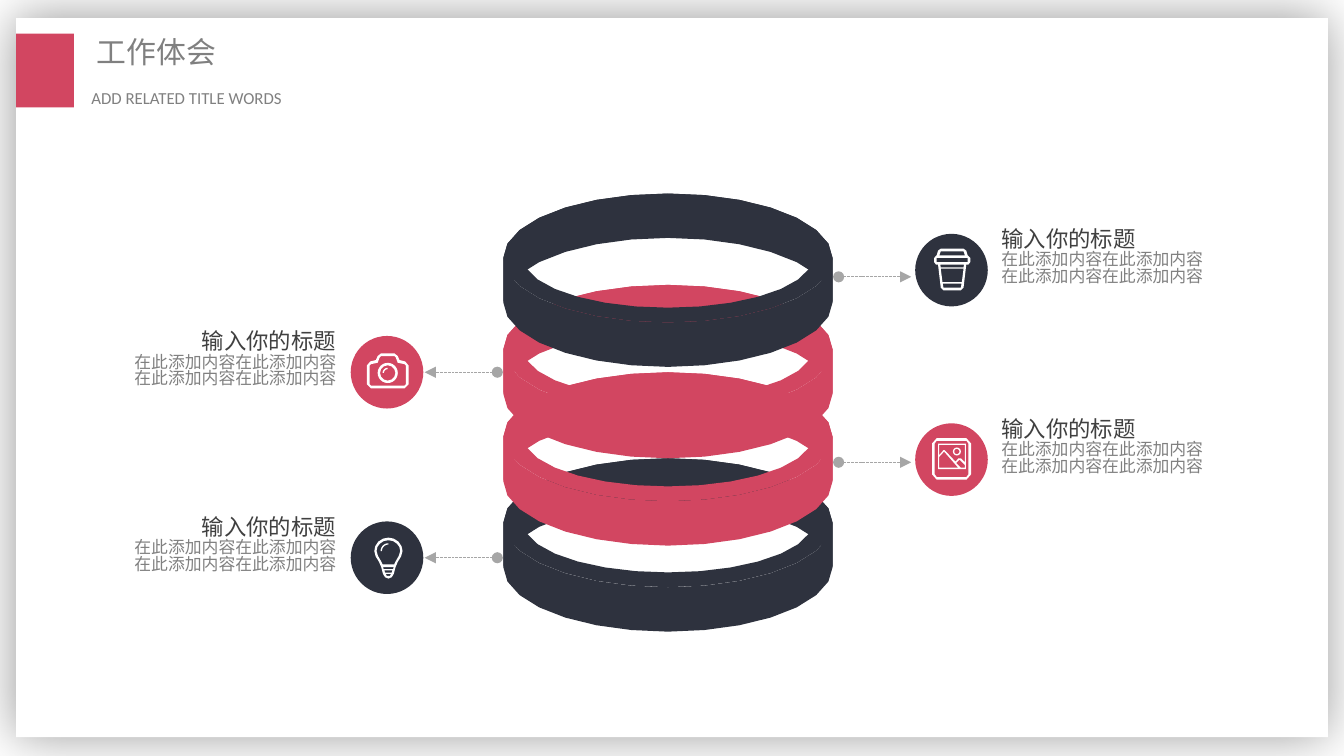
import math
import pptx
import pptx.util
import pptx.dml.color
import pptx.enum.dml
import pptx.enum.shapes
import pptx.enum.text
import pptx.oxml
import pptx.oxml.ns

COLORS = {"red": "D24661", "navy": "2E323E", "white": "FFFFFF", "grey": "808080",
          "dark": "404040", "rule": "A6A6A6", "black": "000000"}
RGB = {name: pptx.dml.color.RGBColor.from_string(value) for name, value in COLORS.items()}
CJK = "Noto Sans CJK SC"
NS = pptx.oxml.ns.nsdecls("a")
SHAPE = pptx.enum.shapes.MSO_SHAPE
ALIGN = pptx.enum.text.PP_ALIGN

prs = pptx.Presentation()
prs.slide_width = pptx.util.Inches(10)
prs.slide_height = prs.slide_width * 9 // 16
s = prs.slides.add_slide(prs.slide_layouts[6])
cell = prs.slide_width // 1000
half = 14
circle = [(math.cos(math.pi * i / half), math.sin(math.pi * i / half)) for i in range(2 * half + 1)]


def text(lines, at, align=ALIGN.LEFT, inset=(0, 5, 0, 0), font=CJK, spacing=0.84):
    sp = s.shapes.add_textbox(*[v * cell for v in at])
    tf = sp.text_frame
    tf.word_wrap = True
    tf.auto_size = pptx.enum.text.MSO_AUTO_SIZE.SHAPE_TO_FIT_TEXT
    tf.margin_left, tf.margin_top, tf.margin_right, tf.margin_bottom = [v * cell for v in inset]
    for i, (line, size, color) in enumerate(lines):
        p = tf.add_paragraph() if i else tf.paragraphs[0]
        p.alignment = align
        p.line_spacing = spacing
        r = p.add_run()
        r.text = line
        r.font.size = pptx.util.Pt(size)
        r.font.name = font
        r.font.color.rgb = RGB[color]
        r.font._element.append(pptx.oxml.parse_xml(f'<a:ea {NS} typeface="{font}"/>'))


def outline(contours, color):
    fb = None
    for contour in contours:
        points = [(x * cell, y * cell) for x, y in contour]
        if fb is None:
            fb = s.shapes.build_freeform(*points[0])
        else:
            fb.move_to(*points[0])
        fb.add_line_segments(points[1:], close=True)
    sp = fb.convert_to_shape()
    sp.shadow.inherit = False
    sp.fill.solid()
    sp.fill.fore_color.rgb = RGB[color]
    sp.line.fill.background()


notes = [(261, 250, "red", 277), (261, 388, "navy", 415),
         (681, 174, "navy", 206), (681, 315, "red", 344)]
blocks = [(SHAPE.RECTANGLE, 12, 13.5, 976, 535, "white", None),
          (SHAPE.RECTANGLE, 12, 25, 43, 55, "red", None)]
blocks += [(SHAPE.OVAL, x, y, 54, 54, color, None) for x, y, color, rule_y in notes]
blocks += [(SHAPE.DONUT, 709, 333, 6, 6, "white", 0.17),
           (SHAPE.DONUT, 281, 270, 15, 15, "white", 0.12)]
for kind, x, y, w, h, color, ring_share in blocks:
    sp = s.shapes.add_shape(kind, *[int(v * cell) for v in (x, y, w, h)])
    sp.shadow.inherit = False
    sp.fill.solid()
    sp.fill.fore_color.rgb = RGB[color]
    sp.line.fill.background()
    if ring_share:
        sp.adjustments[0] = ring_share

page = s.shapes[0]
page._element.spPr.find(pptx.oxml.ns.qn("a:effectLst")).append(pptx.oxml.parse_xml(
    f'<a:outerShdw {NS} blurRad="{pptx.util.Pt(29)}" dist="0" dir="0" algn="ctr" rotWithShape="0">'
    f'<a:srgbClr val="{COLORS["black"]}"><a:alpha val="40000"/></a:srgbClr></a:outerShdw>'))

text([("工作体会", 16, "grey")], (64, 25, 201, 35), inset=(8, 4, 8, 4))
text([("ADD RELATED TITLE WORDS", 9, "grey")], (60, 61, 223, 23),
     align=ALIGN.JUSTIFY, inset=(8, 4, 8, 4), font="Calibri", spacing=1.0)

ring_x, ring_rx, ring_ry, wall = 497, 122.5, 48, 33
for top, color in [(341, "navy"), (277, "red"), (212, "red"), (144, "navy")]:
    mid = top + ring_ry
    rim = [(ring_x + ring_rx * x, mid + ring_ry * y) for x, y in circle]
    hole = [(ring_x + 107.5 * x, mid + 37 * y) for x, y in circle]
    front, back = rim[:half + 1], rim[half:]
    outline([back + [(x, y + wall) for x, y in reversed(back)]], color)
    outline([hole, rim], color)
    outline([front + [(x, y + wall) for x, y in reversed(front)]], color)

body = "在此添加内容在此添加内容"
for x, y, color, rule_y in notes:
    left = x < 500
    start, end = (370, 316) if left else (624, 678)
    c = s.shapes.add_connector(pptx.enum.shapes.MSO_CONNECTOR.STRAIGHT,
                               start * cell, rule_y * cell, end * cell, rule_y * cell)
    c.line.color.rgb = RGB["rule"]
    c.line.width = pptx.util.Pt(0.5)
    c.line.dash_style = pptx.enum.dml.MSO_LINE.SQUARE_DOT
    ln = c.line._get_or_add_ln()
    ln.append(pptx.oxml.parse_xml(f'<a:headEnd {NS} type="oval"/>'))
    ln.append(pptx.oxml.parse_xml(f'<a:tailEnd {NS} type="triangle"/>'))
    c._element.spPr.append(pptx.oxml.parse_xml(f'<a:effectLst {NS}/>'))
    text([("输入你的标题", 12, "dark"), (body, 9, "grey"), (body, 9, "grey")],
         (98 if left else 745, y - 8, 152, 56), align=ALIGN.RIGHT if left else ALIGN.LEFT)

half_icons = {
    "frame": (708, [
        [(11, 326), (14.5, 330), (14.5, 353), (11, 357)],
        [(11, 328), (12.5, 330), (12.5, 353), (11, 355)]]),
    "cup": (708.5, [
        [(8.5, 185), (10.5, 186.5), (11.5, 190), (13.5, 192), (13.5, 195), (12, 197),
         (10.5, 197), (8.5, 214), (6.5, 216)],
        [(8.5, 187), (9.5, 190)],
        [(11.5, 192), (11.5, 195)],
        [(8.8, 197), (8.5, 199)],
        [(8.5, 200), (7.2, 210)],
        [(7, 211), (6.5, 214)]]),
    "bulb": (289, [
        [(0, 400), (4, 400.8), (7.5, 403), (9.8, 406.5), (10.5, 410), (9.5, 414), (7, 418),
         (5.3, 422), (4, 427), (2.5, 429.5), (0, 430.5)],
        [(0, 402), (3.5, 402.6), (6.3, 404.5), (8.2, 407), (8.8, 410), (7.8, 413.5),
         (5.5, 417.5), (4.3, 420)],
        [(4, 422), (3.5, 423.5)],
        [(3, 424.5), (2.5, 426)],
        [(2, 427), (1.2, 428.5)]]),
    "camera": (288.5, [
        [(5, 263), (7.5, 265), (8.8, 268), (13, 269), (15.5, 272), (15.5, 286), (12.5, 289)],
        [(5, 265), (6, 266), (7.5, 270), (12.5, 271), (13.5, 272), (13.5, 286), (12.5, 287)]])}
for mid, sides in half_icons.values():
    outline([[(mid + x, y) for x, y in side] + [(mid - x, y) for x, y in reversed(side)]
             for side in sides], "white")

scene = [[(698, 330), (718.8, 330), (718.8, 349), (698, 349)],
         [(698.8, 331), (718, 331), (718, 344), (715, 341), (713.2, 341), (711, 343.5),
          (703, 335), (702, 335), (698.8, 338.8)],
         [(698.8, 340), (702.5, 336), (713, 348), (698.8, 348)],
         [(715, 348), (711.5, 344.5), (714, 342), (718, 346), (718, 348)]]
outline(scene, "white")
quarter = circle[half:half + 8]
for x, y, outer, inner in [(289, 410, 5.8, 4.8), (288.5, 277.5, 3.8, 2.8)]:
    outline([[(x + outer * u, y + outer * v) for u, v in quarter]
             + [(x + inner * u, y + inner * v) for u, v in reversed(quarter)]], "white")

prs.save("out.pptx")
